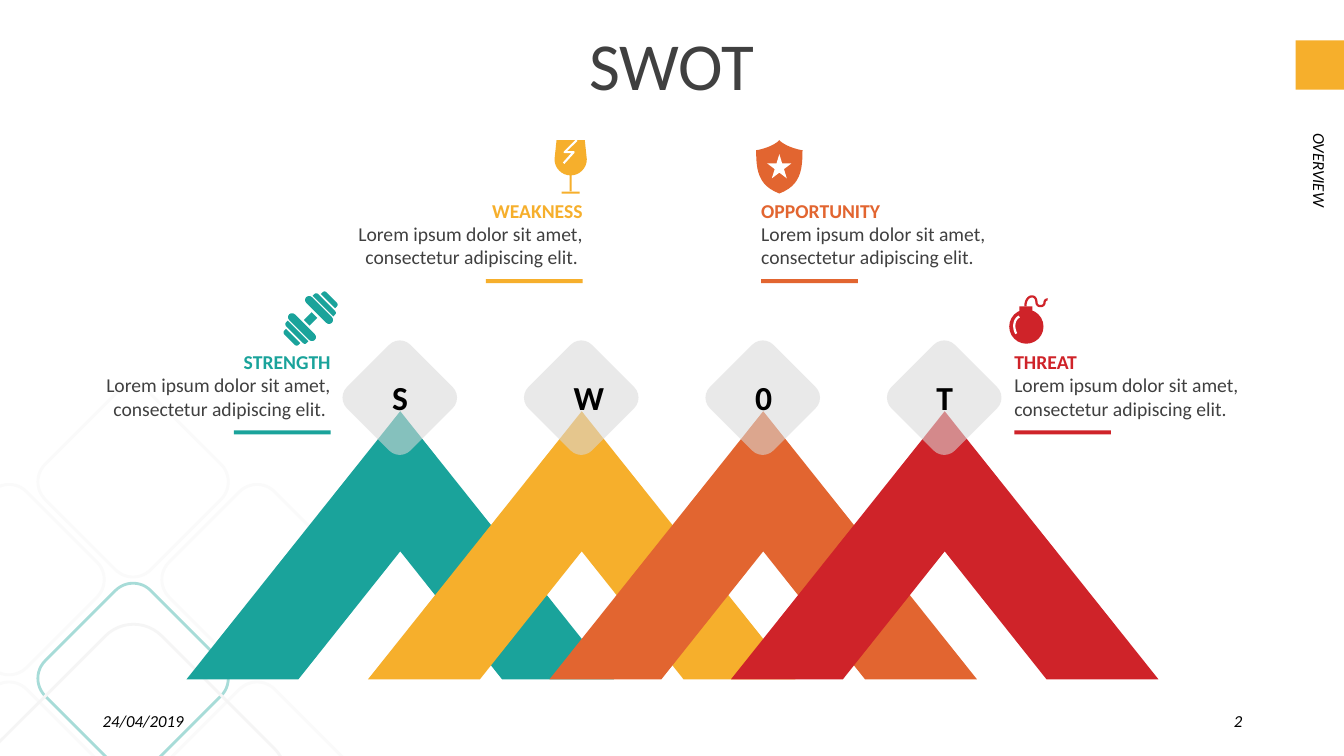
from dataclasses import dataclass
from math import cos, pi, sin, sqrt
from typing import NamedTuple, Optional

from lxml.etree import SubElement
from pptx import Presentation
from pptx.dml.color import RGBColor
from pptx.enum.shapes import MSO_SHAPE
from pptx.enum.text import MSO_ANCHOR, PP_ALIGN
from pptx.oxml.ns import qn
from pptx.util import Inches, Pt

Point = tuple[float, float]


@dataclass(frozen=True)
class Theme:
    font: str = "Calibri"
    teal: str = "1AA39B"
    gold: str = "F6AF2C"
    orange: str = "E26530"
    red: str = "CF2329"
    dark: str = "404040"
    black: str = "000000"
    white: str = "FFFFFF"
    pale: str = "F2F2F2"
    mist: str = "E7E6E6"
    gray: str = "D9D9D9"
    title: int = 48
    letter: int = 24
    body: int = 14
    small: int = 12


class Topic(NamedTuple):
    letter: str
    name: str
    text: str
    color: str
    left: float
    top: float
    align: PP_ALIGN


class Tile(NamedTuple):
    left: float
    top: float
    size: float
    color: str


class Plate(NamedTuple):
    kind: MSO_SHAPE
    gap: float
    long: float
    thick: float


theme = Theme()
LOREM = "Lorem ipsum dolor sit amet, consectetur adipiscing elit."
RIGHT, LEFT = PP_ALIGN.RIGHT, PP_ALIGN.LEFT
TOPICS = [
    Topic("S", "STRENGTH", LOREM + " ", theme.teal, 0.54, 3.47, RIGHT),
    Topic("W", "WEAKNESS", LOREM + " ", theme.gold, 3.04, 1.97, RIGHT),
    Topic("0", "OPPORTUNITY", LOREM, theme.orange, 7.55, 1.97, LEFT),
    Topic("T", "THREAT", LOREM, theme.red, 10.06, 3.47, LEFT),
]
TILES = [
    Tile(-0.65, 5.01, 1.48, theme.pale),
    Tile(-0.65, 6.97, 1.48, theme.pale),
    Tile(0.58, 4.04, 1.48, theme.pale),
    Tile(0.58, 5.99, 1.48, theme.teal),
    Tile(1.81, 5.01, 1.48, theme.pale),
    Tile(1.81, 6.97, 1.48, theme.pale),
    Tile(0.14, 6.52, 2.37, theme.mist),
]
PLATES = [
    Plate(MSO_SHAPE.ROUNDED_RECTANGLE, 0.12, 0.36, 0.08),
    Plate(MSO_SHAPE.ROUND_2_SAME_RECTANGLE, 0.2, 0.29, 0.05),
    Plate(MSO_SHAPE.ROUND_2_SAME_RECTANGLE, 0.27, 0.2, 0.05),
]

deck = Presentation()
deck.slide_width, deck.slide_height = Inches(13.33), Inches(7.5)
slide = deck.slides.add_slide(deck.slide_layouts[6])
shapes = slide.shapes


def paint(shape, fill: Optional[str], line: Optional[str] = None,
          width: float = 2, alpha: int = 100):
    shape.shadow.inherit = False
    if fill:
        shape.fill.solid()
        shape.fill.fore_color.rgb = RGBColor.from_string(fill)
        if alpha < 100:
            color = shape.fill._xPr.find(qn("a:solidFill"))[0]
            SubElement(color, qn("a:alpha")).set("val", str(alpha * 1000))
    else:
        shape.fill.background()
    if line:
        shape.line.color.rgb = RGBColor.from_string(line)
        shape.line.width = Pt(width)
    else:
        shape.line.fill.background()
    return shape


def block(kind: MSO_SHAPE, left: float, top: float, width: float, height: float,
          fill: Optional[str], turn: float = 0, line: Optional[str] = None,
          alpha: int = 100):
    shape = shapes.add_shape(kind, Inches(left), Inches(top), Inches(width), Inches(height))
    shape.rotation = turn
    return paint(shape, fill, line, alpha=alpha)


def trace(points: list[Point], fill: Optional[str], line: Optional[str] = None,
          width: float = 2) -> None:
    spots = [(Inches(x), Inches(y)) for x, y in points]
    maker = shapes.build_freeform(*spots[0])
    maker.add_line_segments(spots[1:], close=fill is not None)
    paint(maker.convert_to_shape(), fill, line, width)


def curve(a: Point, b: Point, c: Point, d: Point, steps: int = 12) -> list[Point]:
    def blend(t: float, axis: int) -> float:
        s = 1 - t
        return (s ** 3 * a[axis] + 3 * s * s * t * b[axis]
                + 3 * s * t * t * c[axis] + t ** 3 * d[axis])
    return [(blend(i / steps, 0), blend(i / steps, 1)) for i in range(steps + 1)]


def label(text: str, left: float, top: float, width: float, height: float,
          size: int, color: str, align: PP_ALIGN = LEFT, bold: bool = False,
          italic: bool = False, middle: bool = False, inset: bool = False,
          turn: float = 0) -> None:
    box = shapes.add_textbox(Inches(left), Inches(top), Inches(width), Inches(height))
    box.rotation = turn
    frame = box.text_frame
    frame.text = text
    frame.word_wrap = True
    frame.vertical_anchor = MSO_ANCHOR.MIDDLE if middle else MSO_ANCHOR.TOP
    if not inset:
        frame.margin_left = frame.margin_right = 0
        frame.margin_top = frame.margin_bottom = 0
    frame.paragraphs[0].alignment = align
    font = frame.paragraphs[0].runs[0].font
    font.name, font.size = theme.font, Pt(size)
    font.bold, font.italic = bold, italic
    font.color.rgb = RGBColor.from_string(color)


def dumbbell(x: float, y: float, color: str) -> None:
    block(MSO_SHAPE.RECTANGLE, x - 0.04, y - 0.05, 0.08, 0.11, color, 45)
    for plate in PLATES:
        for side, turn in ((1, 45), (-1, 225)):
            step = side * plate.gap / sqrt(2)
            part = block(plate.kind, x + step - plate.long / 2, y - step - plate.thick / 2,
                         plate.long, plate.thick, color, turn)
            part.adjustments[0] = 0.5


def glass(x: float, y: float, color: str) -> None:
    bowl = [(x + 0.16 * cos(i * pi / 16), y + 0.19 + 0.16 * sin(i * pi / 16))
            for i in range(17)]
    trace([(x - 0.14, y), (x + 0.14, y)] + bowl, color)
    crack = [(0.06, 0), (-0.06, 0.12), (0.03, 0.12), (-0.07, 0.23)]
    trace([(x + dx, y + dy) for dx, dy in crack], None, theme.white, 1.5)
    block(MSO_SHAPE.RECTANGLE, x - 0.01, y + 0.34, 0.02, 0.17, color)
    block(MSO_SHAPE.RECTANGLE, x - 0.09, y + 0.51, 0.18, 0.02, color)


def shield(x: float, y: float, color: str) -> None:
    half = (curve((0, 0), (0.05, 0.06), (0.2, 0.1), (0.23, 0.1))
            + curve((0.23, 0.1), (0.23, 0.3), (0.21, 0.45), (0, 0.53)))
    trace([(x + dx, y + dy) for dx, dy in half]
          + [(x - dx, y + dy) for dx, dy in reversed(half)], color)
    block(MSO_SHAPE.STAR_5_POINT, x - 0.12, y + 0.14, 0.24, 0.24, theme.white)


def bomb(x: float, y: float, color: str) -> None:
    block(MSO_SHAPE.OVAL, x, y + 0.14, 0.34, 0.34, color)
    block(MSO_SHAPE.RECTANGLE, x + 0.1, y + 0.11, 0.13, 0.06, color)
    fuse = (curve((0.16, 0.11), (0.16, -0.01), (0.27, -0.02), (0.27, 0.07))
            + curve((0.27, 0.07), (0.27, 0.12), (0.35, 0.12), (0.35, 0.07))
            + curve((0.35, 0.07), (0.35, 0.05), (0.37, 0.04), (0.38, 0.04)))
    shine = curve((0.1, 0.21), (0.04, 0.24), (0.04, 0.33), (0.07, 0.38))
    for path, tint in ((fuse, color), (shine, theme.white)):
        trace([(x + dx, y + dy) for dx, dy in path], None, tint, 1.6)


# Faded background tiles and corner tab
for tile in TILES:
    block(MSO_SHAPE.ROUNDED_RECTANGLE, tile.left, tile.top, tile.size, tile.size,
          None, 315, tile.color)
block(MSO_SHAPE.RECTANGLE, 0, 3.75, 4.85, 3.75, theme.white, alpha=62)
block(MSO_SHAPE.RECTANGLE, 12.85, 0.4, 0.49, 0.49, theme.gold)

# Title, footer and side label
label("SWOT", 0.36, 0.23, 12.61, 0.8, theme.title, theme.dark, PP_ALIGN.CENTER, middle=True)
label("24/04/2019", 0.92, 6.95, 3, 0.4, theme.small, theme.black,
      italic=True, middle=True, inset=True)
label("2", 9.42, 6.95, 3, 0.4, theme.small, theme.black, RIGHT,
      italic=True, middle=True, inset=True)
label("OVERVIEW", 11.59, 2.72, 3, 0.2, theme.small, theme.black,
      italic=True, middle=True, turn=90)

# Overlapping peaks
PEAKS = [3.97 + 1.8 * i for i in range(len(TOPICS))]
for topic, peak in zip(TOPICS, PEAKS):
    trace([(peak, 4.08), (peak + 2.12, 6.74), (peak + 1.01, 6.74), (peak, 5.47),
           (peak - 1.01, 6.74), (peak - 2.12, 6.74)], topic.color)

# Lettered diamonds and captions
for topic, peak in zip(TOPICS, PEAKS):
    block(MSO_SHAPE.ROUNDED_RECTANGLE, peak - 0.45, 3.5, 0.89, 0.89, theme.gray, 45, alpha=56)
    label(topic.letter, peak - 0.18, 3.69, 0.36, 0.5, theme.letter, theme.black,
          bold=True, inset=True)
    label(topic.name, topic.left, topic.top, 2.74, 0.23, theme.body, topic.color,
          topic.align, bold=True)
    label(topic.text, topic.left, topic.top + 0.23, 2.74, 0.47, theme.body, theme.dark,
          topic.align)
    shift = 1.78 if topic.align == RIGHT else 0
    block(MSO_SHAPE.RECTANGLE, topic.left + shift, topic.top + 0.8, 0.96, 0.04, topic.color)

# Icons
dumbbell(3.08, 3.16, theme.teal)
glass(5.66, 1.39, theme.gold)
shield(7.73, 1.39, theme.orange)
bomb(10.01, 2.93, theme.red)

deck.save("out.pptx")
